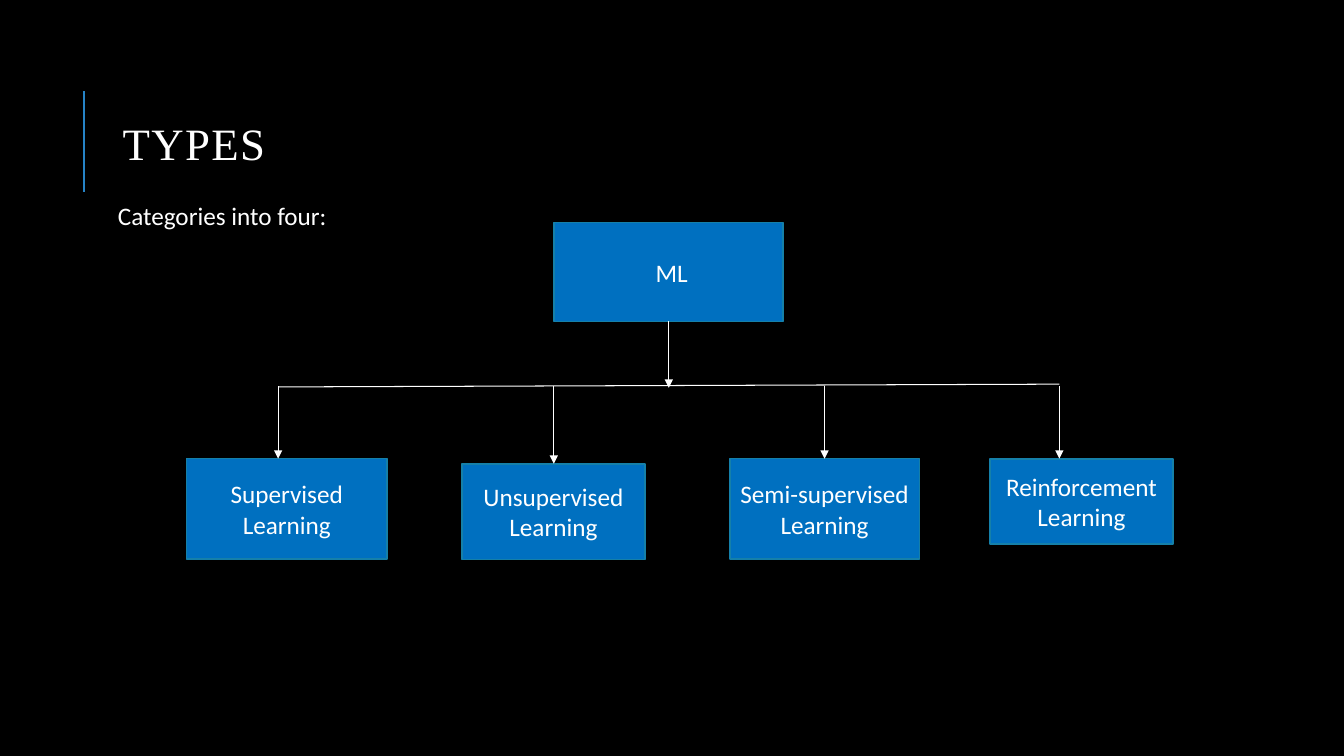
import pptx
import pptx.util
import pptx.dml.color
import pptx.enum.shapes
import pptx.enum.text
import pptx.oxml
import pptx.oxml.ns

Pt = pptx.util.Pt
ANCHOR = pptx.enum.text.MSO_ANCHOR
ALIGN = pptx.enum.text.PP_ALIGN
WHITE, BLACK = "FFFFFF", "000000"
BOX_FILL, BOX_EDGE, ACCENT = "0070C0", "1580A9", "2683C6"

# Learning types: label, box (left, top, width, height), arrow position
LEARNING_TYPES = [
    ("Supervised Learning", (133.2, 327.6, 143.3, 72), 198.7),
    ("Unsupervised Learning", (329.8, 331.2, 131, 68.4), 395.6),
    ("Semi-supervised Learning", (521.3, 327.6, 135.5, 72), 589),
    ("Reinforcement Learning", (707, 327.6, 131, 61.2), 756.7),
]


def color(hex_string):
    return pptx.dml.color.RGBColor.from_string(hex_string)


def write(shape, text, size, font):
    """Put one white paragraph into a shape and return it."""
    shape.text_frame.word_wrap = True
    shape.text_frame.text = text
    para = shape.text_frame.paragraphs[0]
    span = para.runs[0]
    span.font.size = Pt(size)
    span.font.name = font
    span.font.color.rgb = color(WHITE)
    return para


def add_line(page, start, end, stroke, width, arrow=False):
    line = page.shapes.add_connector(
        pptx.enum.shapes.MSO_CONNECTOR.STRAIGHT,
        *(Pt(value) for value in (*start, *end)))
    line.line.color.rgb = color(stroke)
    line.line.width = Pt(width)
    if arrow:
        tail = pptx.oxml.ns.qn("a:tailEnd")
        line.line._get_or_add_ln().makeelement(tail)
        head = pptx.oxml.parse_xml(
            f'<a:tailEnd {pptx.oxml.ns.nsdecls("a")} type="triangle"/>')
        line.line._get_or_add_ln().append(head)
    line._element.spPr.append(pptx.oxml.parse_xml(
        f'<a:effectLst {pptx.oxml.ns.nsdecls("a")}/>'))


def add_box(page, label, box):
    shape = page.shapes.add_shape(
        pptx.enum.shapes.MSO_SHAPE.RECTANGLE, *(Pt(value) for value in box))
    shape.shadow.inherit = False
    shape.fill.solid()
    shape.fill.fore_color.rgb = color(BOX_FILL)
    shape.line.color.rgb = color(BOX_EDGE)
    shape.line.width = Pt(1.25)
    shape.text_frame.vertical_anchor = ANCHOR.MIDDLE
    write(shape, label, 18, "Calibri").alignment = ALIGN.CENTER


def add_title(page, left, top, width, height):
    # Accent rule beside the title
    rule = left - 20.6
    add_line(page, (rule, top + 90.7), (rule, top + 18.7), ACCENT, 1.5)
    title = page.shapes.add_textbox(Pt(left), Pt(top), Pt(width), Pt(height))
    title.text_frame.vertical_anchor = ANCHOR.MIDDLE
    para = write(title, "TYPES", 32, "Times New Roman")
    para.line_spacing = 0.8
    para.runs[0].font._element.set("spc", "100")


def add_intro(page, left, top, width, height):
    intro = page.shapes.add_textbox(Pt(left), Pt(top), Pt(width), Pt(height))
    frame = intro.text_frame
    frame.margin_left = frame.margin_right = Pt(3.6)
    frame.margin_top = frame.margin_bottom = Pt(3.6)
    para = write(intro, "Categories into four:", 18, "Calibri")
    para.line_spacing = 0.9
    para.space_after = Pt(2)


def add_tree(page, left, top, width, height):
    # Root and its children
    add_box(page, " ML", (left, top, width, height))
    for label, box, _ in LEARNING_TYPES:
        add_box(page, label, box)

    # Shared branch line, then an arrow into it and one down to each child
    branch = top + 117
    first, last = LEARNING_TYPES[0][2], LEARNING_TYPES[-1][2]
    add_line(page, (first, branch + 0.4), (last, branch - 1.6), WHITE, 0.75)
    middle = left + width / 2
    add_line(page, (middle, top + height), (middle, branch + 1),
             WHITE, 0.75, arrow=True)
    for _, box, across in LEARNING_TYPES:
        add_line(page, (across, branch), (across, box[1]),
                 WHITE, 0.75, arrow=True)


def main():
    deck = pptx.Presentation()
    deck.slide_width, deck.slide_height = Pt(960), Pt(540)
    page = deck.slides.add_slide(deck.slide_layouts[6])
    page.background.fill.solid()
    page.background.fill.fore_color.rgb = color(BLACK)
    add_title(page, 80.6, 46.1, 765.4, 118)
    add_intro(page, 80.6, 141.8, 807.8, 360.7)
    add_tree(page, 396, 159, 163.4, 70.6)
    deck.save("out.pptx")


if __name__ == "__main__":
    main()
